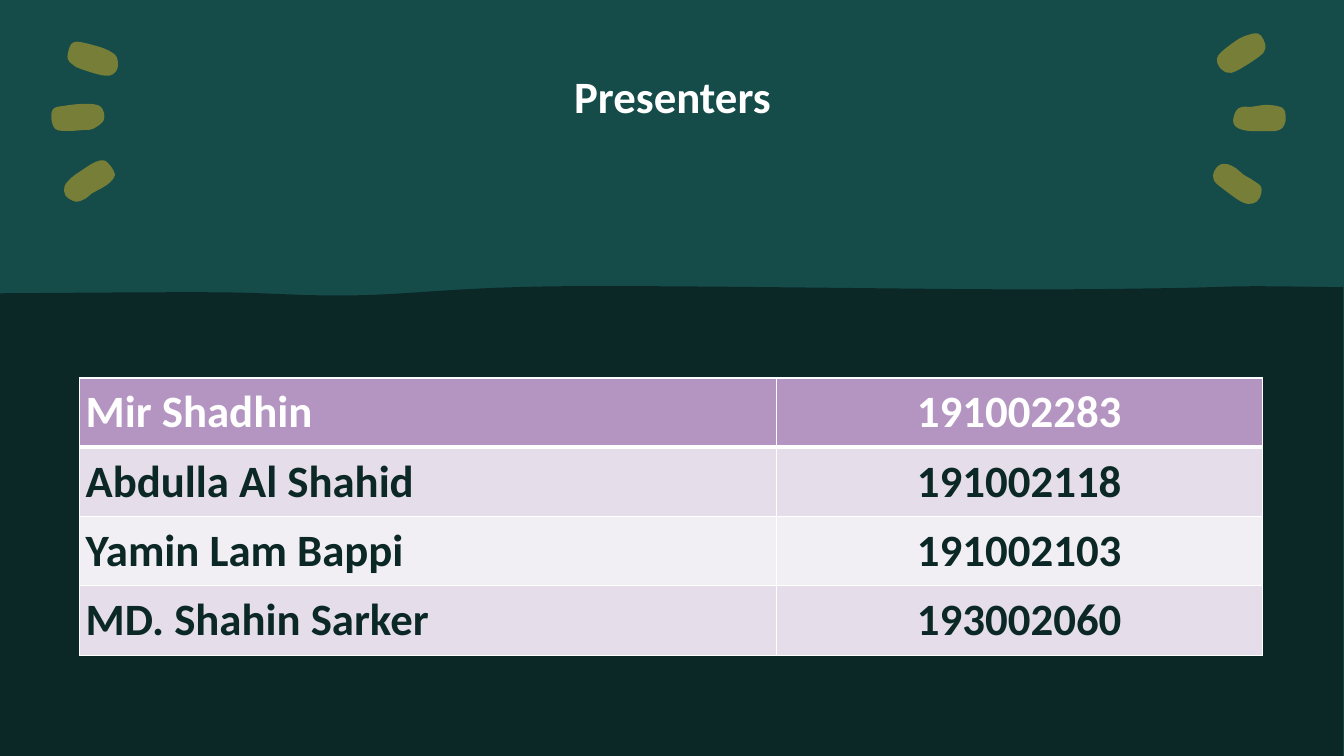
import lxml.etree
import pptx
import pptx.dml.color
import pptx.enum.shapes
import pptx.enum.text
import pptx.oxml.ns
import pptx.util
from pptx.util import Inches

RGBColor = pptx.dml.color.RGBColor
ALIGN = pptx.enum.text.PP_ALIGN
ANCHOR = pptx.enum.text.MSO_ANCHOR
qn = pptx.oxml.ns.qn

DARK = RGBColor(0x0B, 0x28, 0x27)
TEAL = RGBColor(0x15, 0x4C, 0x4A)
OLIVE = RGBColor(0x76, 0x7E, 0x37)
WHITE = RGBColor(0xFF, 0xFF, 0xFF)
PURPLE = RGBColor(0xB4, 0x95, 0xC2)
LILAC = RGBColor(0xE5, 0xDD, 0xE9)
PALE = RGBColor(0xF2, 0xEF, 0xF4)

SLIDE_WIDTH, SLIDE_HEIGHT = 13.33, 7.5

# Outline points in inches from the corner of each burst or wave
LEFT_DASHES = [
    [(0.59, 1.51), (0.52, 1.56), (0.41, 1.62), (0.35, 1.67), (0.25, 1.7),
     (0.15, 1.64), (0.14, 1.55), (0.2, 1.47), (0.28, 1.41), (0.34, 1.37),
     (0.44, 1.31), (0.53, 1.29), (0.6, 1.35), (0.64, 1.44)],
    [(0.42, 0.98), (0.33, 0.99), (0.16, 1), (0.05, 0.98), (0.01, 0.88),
     (0.03, 0.78), (0.14, 0.75), (0.35, 0.73), (0.5, 0.76), (0.53, 0.89)],
    [(0.31, 0.12), (0.23, 0.12), (0.19, 0.17), (0.17, 0.28), (0.22, 0.34),
     (0.29, 0.38), (0.48, 0.44), (0.59, 0.45), (0.65, 0.41), (0.67, 0.35),
     (0.66, 0.27), (0.61, 0.22), (0.5, 0.17)],
]
RIGHT_DASHES = [
    [(0.65, 1), (0.54, 1), (0.4, 1), (0.33, 0.99), (0.26, 0.96), (0.23, 0.9),
     (0.26, 0.8), (0.32, 0.76), (0.41, 0.76), (0.57, 0.74), (0.72, 0.77),
     (0.75, 0.84), (0.75, 0.9), (0.72, 0.97)],
    [(0.12, 0.21), (0.25, 0.11), (0.34, 0.06), (0.47, 0.03), (0.53, 0.09),
     (0.55, 0.18), (0.49, 0.26), (0.27, 0.4), (0.17, 0.42), (0.09, 0.36),
     (0.07, 0.28)],
    [(0.04, 1.49), (0.03, 1.44), (0.06, 1.37), (0.11, 1.33), (0.18, 1.33),
     (0.26, 1.37), (0.33, 1.43), (0.43, 1.49), (0.51, 1.56), (0.49, 1.67),
     (0.42, 1.72), (0.31, 1.7), (0.1, 1.55)],
]
WAVE_CREST = [(0, 0.08), (2.13, 0.07), (3.53, 0.1), (5.57, 0.01),
              (9.87, 0.04), (11.53, 0.03), (12.4, 0.01), (13.32, 0.02)]

PRESENTERS = [
    ("Mir Shadhin", "191002283"),
    ("Abdulla Al Shahid", "191002118"),
    ("Yamin Lam Bappi", "191002103"),
    ("MD. Shahin Sarker", "193002060"),
]


def paint(shape, color):
    shape.shadow.inherit = False
    shape.fill.solid()
    shape.fill.fore_color.rgb = color
    shape.line.fill.background()


def curve_edges(outline, count, closed):
    """Turn the first straight edges of the outline into one smooth curve."""
    points = [(int(pt.get("x")), int(pt.get("y")))
              for pt in outline._element.iter(qn("a:pt"))][:count + 1]
    if closed:
        knots = [points[-2], *points, points[1]]
    else:
        knots = [points[0], *points, points[-1]]
    edges = list(outline._element.iter(qn("a:lnTo")))[:count]
    for edge, a, b, c, d in zip(edges, knots, knots[1:], knots[2:], knots[3:]):
        curve = lxml.etree.Element(qn("a:cubicBezTo"))
        leaving = [q + (r - p) / 6 for p, q, r in zip(a, b, c)]
        arriving = [q - (r - p) / 6 for p, q, r in zip(b, c, d)]
        for x, y in (leaving, arriving, c):
            lxml.etree.SubElement(curve, qn("a:pt"),
                                  x=str(round(x)), y=str(round(y)))
        edge.getparent().replace(edge, curve)


def add_outline(shapes, left, top, points, color):
    corners = [(Inches(left + x), Inches(top + y)) for x, y in points]
    builder = shapes.build_freeform(*corners[0], scale=1.0)
    builder.add_line_segments(corners[1:], close=True)
    outline = builder.convert_to_shape()
    paint(outline, color)
    return outline


def write(paragraph, text, color, align):
    paragraph.alignment = align
    run = paragraph.add_run()
    run.text = text
    run.font.name = "Calibri"
    run.font.size = pptx.util.Pt(32)
    run.font.bold = True
    run.font.color.rgb = color


def add_band(slide, left, top, width, height):
    """Fill the box with teal, behind everything else."""
    band = slide.shapes.add_shape(
        pptx.enum.shapes.MSO_SHAPE.RECTANGLE,
        Inches(left), Inches(top), Inches(width), Inches(height))
    paint(band, TEAL)
    slide.shapes._spTree.insert(2, band._element)


def set_title(slide, left, top, width, height):
    title = slide.shapes.title
    title.left, title.top = Inches(left), Inches(top)
    title.width, title.height = Inches(width), Inches(height)
    frame = title.text_frame
    frame.margin_left = frame.margin_right = 0
    frame.margin_top = frame.margin_bottom = 0
    frame.vertical_anchor = ANCHOR.TOP
    frame.word_wrap = True
    write(frame.paragraphs[0], "Presenters", WHITE, ALIGN.CENTER)


def add_burst(slide, left, top, dashes):
    burst = slide.shapes.add_group_shape()
    for points in dashes:
        dash = add_outline(burst.shapes, left, top, points + points[:1], OLIVE)
        curve_edges(dash, len(points), closed=True)


def add_wave(slide, left, top, width, height):
    corners = [(width, height), (0, height)]
    wave = add_outline(slide.shapes, left, top, WAVE_CREST + corners, DARK)
    curve_edges(wave, len(WAVE_CREST) - 1, closed=False)


def set_borders(cell, widths):
    """Draw white borders; widths are in points: left, right, top, bottom."""
    properties = cell._tc.get_or_add_tcPr()
    for index, (side, width) in enumerate(zip(("lnL", "lnR", "lnT", "lnB"), widths)):
        line = lxml.etree.Element(qn(f"a:{side}"), w=str(pptx.util.Pt(width)))
        fill = lxml.etree.SubElement(line, qn("a:solidFill"))
        lxml.etree.SubElement(fill, qn("a:srgbClr"), val=str(WHITE))
        properties.insert(index, line)


def add_presenter_table(slide, left, top, width, height):
    table = slide.shapes.add_table(
        len(PRESENTERS), 2, Inches(left), Inches(top),
        Inches(width), Inches(height)).table
    name_width = 6.91
    table.columns[0].width = Inches(name_width)
    table.columns[1].width = Inches(width - name_width)
    for row, presenter in enumerate(PRESENTERS):
        fill = PURPLE if row == 0 else (PALE, LILAC)[row % 2]
        for column, text in enumerate(presenter):
            cell = table.cell(row, column)
            cell.fill.solid()
            cell.fill.fore_color.rgb = fill
            cell.vertical_anchor = ANCHOR.MIDDLE
            cell.margin_left = cell.margin_right = Inches(0.06)
            cell.margin_top = cell.margin_bottom = Inches(0.04)
            set_borders(cell, (1, 1, 3 if row == 1 else 1, 3 if row == 0 else 1))
            write(cell.text_frame.paragraphs[0], text,
                  WHITE if row == 0 else DARK,
                  (ALIGN.LEFT, ALIGN.CENTER)[column])


def main():
    deck = pptx.Presentation()
    deck.slide_width = Inches(SLIDE_WIDTH)
    deck.slide_height = Inches(SLIDE_HEIGHT)
    slide = deck.slides.add_slide(deck.slide_layouts[5])
    slide.background.fill.solid()
    slide.background.fill.fore_color.rgb = DARK
    add_band(slide, 0, 0, SLIDE_WIDTH, SLIDE_HEIGHT)
    set_title(slide, 1.84, 0.68, 9.66, 0.75)
    add_burst(slide, 0.5, 0.3, LEFT_DASHES)
    add_burst(slide, 12, 0.3, RIGHT_DASHES)
    add_wave(slide, 0, 2.83, 13.32, 4.67)
    add_presenter_table(slide, 0.79, 3.75, 11.73, 2.75)
    deck.save("out.pptx")


if __name__ == "__main__":
    main()
